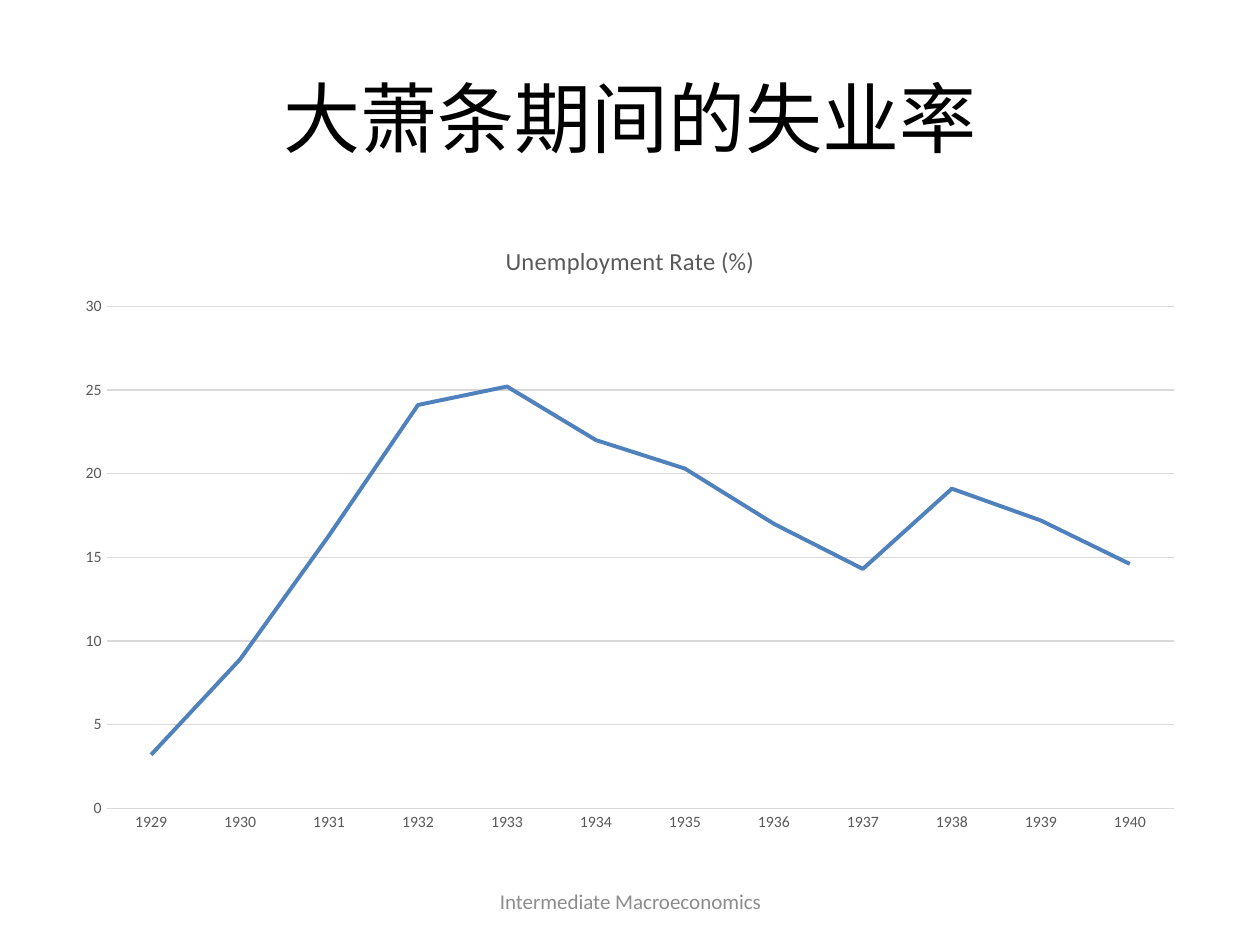
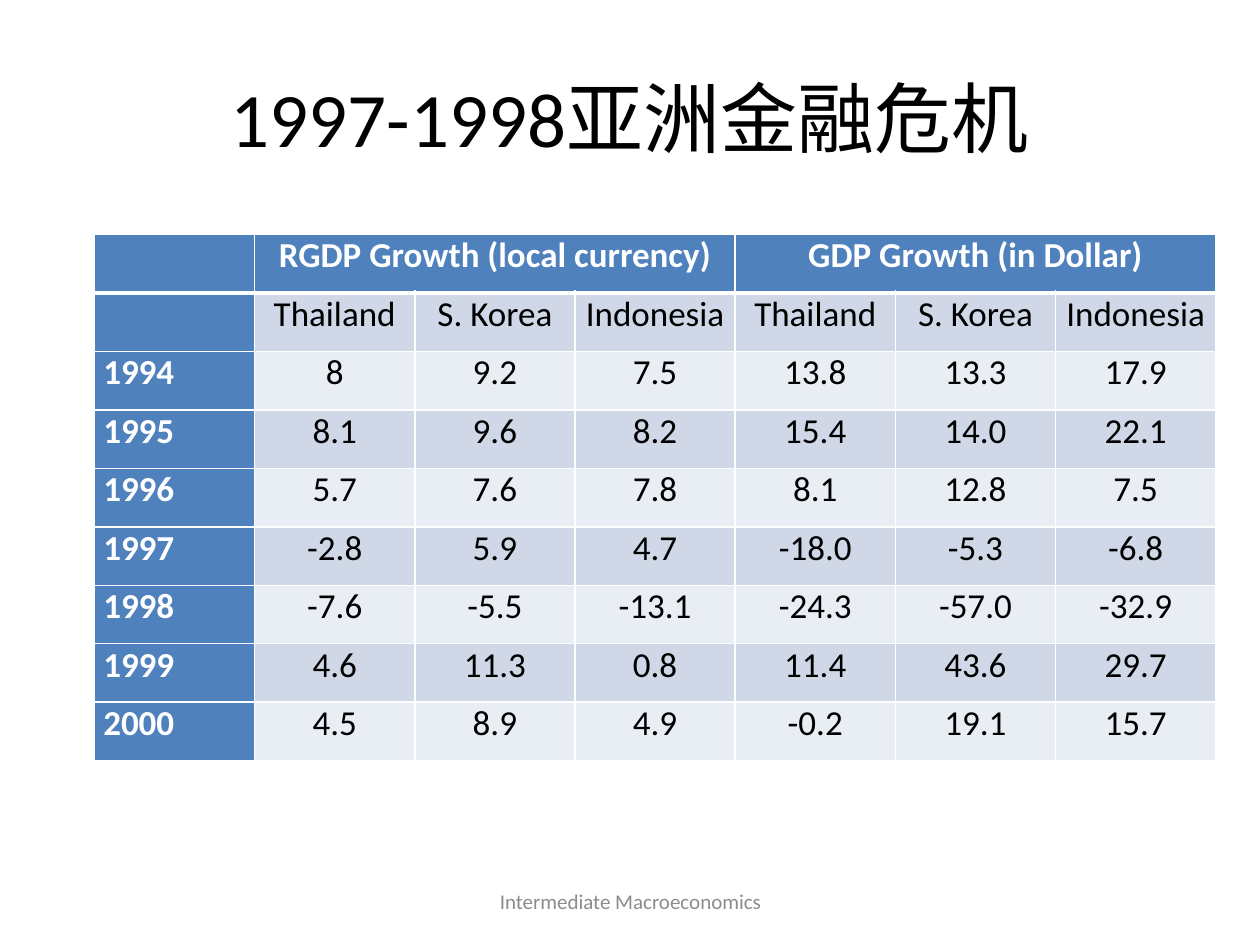
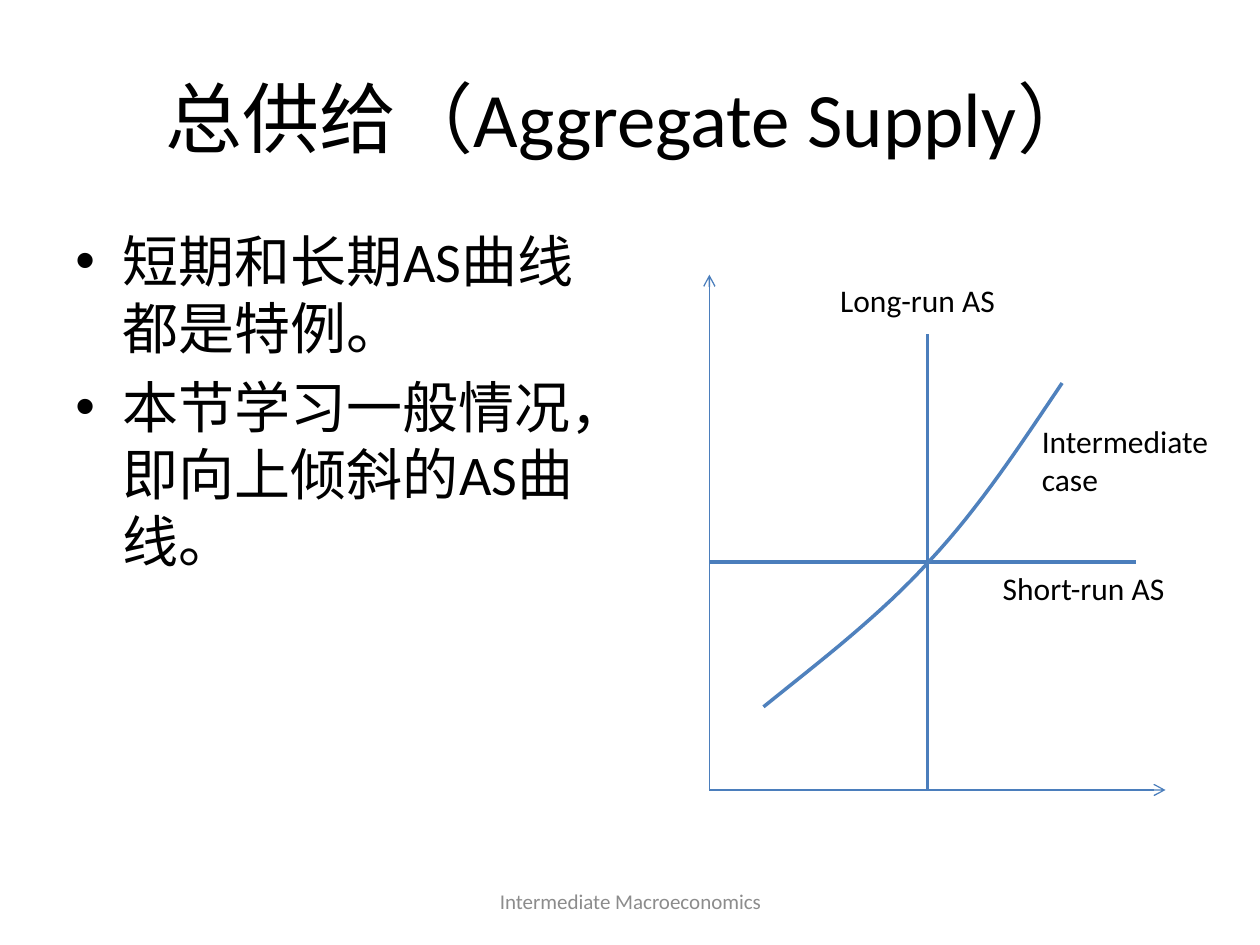
from dataclasses import dataclass
from typing import NamedTuple

from lxml import etree
from pptx import Presentation
from pptx.chart.data import CategoryChartData
from pptx.dml.color import RGBColor
from pptx.enum.chart import XL_CHART_TYPE, XL_MARKER_STYLE, XL_TICK_MARK
from pptx.enum.text import MSO_ANCHOR, PP_ALIGN
from pptx.oxml.ns import qn
from pptx.util import Inches, Pt

LINE_CHART = XL_CHART_TYPE.LINE
NO_MARK = XL_MARKER_STYLE.NONE
NO_TICK = XL_TICK_MARK.NONE
TOP, MIDDLE = MSO_ANCHOR.TOP, MSO_ANCHOR.MIDDLE
LEFT, CENTER, JUSTIFY = PP_ALIGN.LEFT, PP_ALIGN.CENTER, PP_ALIGN.JUSTIFY

WIDTH, HEIGHT = Inches(10), Inches(7.5)
COLS = 100
UNIT = WIDTH / COLS


@dataclass(frozen=True)
class Theme:
    face: str = "Calibri"
    ink: str = "000000"
    paper: str = "FFFFFF"
    blue: str = "4F81BD"
    stroke: str = "4B7EBC"
    dark: str = "D0D8E8"
    light: str = "E9EDF4"
    grid: str = "D9D9D9"
    label: str = "595959"
    mute: str = "8C8C8C"
    title: float = 44
    body: float = 32
    cell: float = 20
    note: float = 18
    foot: float = 12
    chart: float = 14
    tick: float = 9


THEME = Theme()


class Box(NamedTuple):
    col: float
    row: float
    wide: float
    high: float

    def size(self) -> list[int]:
        return [span(part) for part in self]


class Label(NamedTuple):
    text: str
    box: Box


class Stroke(NamedTuple):
    start: tuple[float, float]
    end: tuple[float, float]
    weight: float
    arrow: bool = False


class Curve(NamedTuple):
    points: tuple[tuple[float, float], ...]

    def at(self, t: float) -> tuple[int, int]:
        u = 1 - t
        parts = (u ** 3, 3 * u * u * t, 3 * u * t * t, t ** 3)
        return tuple(span(sum(p * point[i] for p, point in zip(parts, self.points))) for i in (0, 1))


TITLE_BOX = Box(5, 3, 90, 12.5)
FOOT_BOX = Box(34.2, 69.5, 31.7, 4)
CHART_BOX = Box(5, 17.5, 90, 49.5)
TABLE_BOX = Box(7.5, 18.6, 89, 41.8)
BODY_BOX = Box(5, 17.5, 44.2, 49.5)

RATES = (3.2, 8.9, 16.3, 24.1, 25.2, 22, 20.3, 17, 14.3, 19.1, 17.2, 14.6)
LANDS = ("Thailand", "S. Korea", "Indonesia")
GROWTH = (
    ("", "RGDP Growth (local currency)", "", "", "GDP Growth (in Dollar)", "", ""),
    ("", *LANDS, *LANDS),
    ("1994", "8", "9.2", "7.5", "13.8", "13.3", "17.9"),
    ("1995", "8.1", "9.6", "8.2", "15.4", "14.0", "22.1"),
    ("1996", "5.7", "7.6", "7.8", "8.1", "12.8", "7.5"),
    ("1997", "-2.8", "5.9", "4.7", "-18.0", "-5.3", "-6.8"),
    ("1998", "-7.6", "-5.5", "-13.1", "-24.3", "-57.0", "-32.9"),
    ("1999", "4.6", "11.3", "0.8", "11.4", "43.6", "29.7"),
    ("2000", "4.5", "8.9", "4.9", "-0.2", "19.1", "15.7"),
)
POINTS = ("短期和长期AS曲线都是特例。", "本节学习一般情况，即向上倾斜的AS曲线。")

BASE = (56.3, 62.7)
LONG_COL, SHORT_ROW = 73.6, 44.6
STROKES = (
    Stroke(BASE, (92.5, BASE[1]), 0.75, True),
    Stroke(BASE, (BASE[0], 21.8), 0.75, True),
    Stroke((LONG_COL, BASE[1]), (LONG_COL, 26.5), 2),
    Stroke((BASE[0], SHORT_ROW), (90.2, SHORT_ROW), 2),
)
CURVES = (
    Curve(((60.6, 56.1), (65.2, 52.4), (69.9, 48.8), (73.8, 44.5))),
    Curve(((73.8, 44.5), (77.8, 40.2), (81, 35.3), (84.3, 30.4))),
)
STEPS = 16
LABELS = (
    Label("Long-run AS", Box(65.7, 21.8, 18.6, 4)),
    Label("Short-run AS", Box(78.6, 44.7, 18.1, 4)),
    Label("Intermediate case", Box(81.7, 33, 16.9, 7.1)),
)


def span(units: float) -> int:
    return round(units * UNIT)


def tint(code: str) -> RGBColor:
    return RGBColor.from_string(code)


def style(font, size: float, color: str, bold: bool = False) -> None:
    font.name = THEME.face
    font.size = Pt(size)
    font.color.rgb = tint(color)
    font.bold = bold


def add_text(slide, box: Box, lines: tuple[str, ...], size: float, color: str = THEME.ink,
             align=LEFT, anchor=TOP, bullet: bool = False) -> None:
    frame = slide.shapes.add_textbox(*box.size()).text_frame
    frame.word_wrap = True
    frame.vertical_anchor = anchor
    for index, line in enumerate(lines):
        para = frame.add_paragraph() if index else frame.paragraphs[0]
        para.text = line
        para.alignment = align
        if index:
            para.space_before = Pt(size * 0.2)
        if bullet:
            props = para._p.get_or_add_pPr()
            props.set("marL", str(span(3.75)))
            props.set("indent", str(-span(3.75)))
            etree.SubElement(props, qn("a:buFont"), typeface="Arial")
            etree.SubElement(props, qn("a:buChar"), char="•")
        style(para.font, size, color)


def add_page(deck, title: str):
    slide = deck.slides.add_slide(deck.slide_layouts[6])
    add_text(slide, TITLE_BOX, (title,), THEME.title, align=CENTER, anchor=MIDDLE)
    add_text(slide, FOOT_BOX, ("Intermediate Macroeconomics",), THEME.foot, THEME.mute, CENTER, MIDDLE)
    return slide


def set_line(line, color: str, weight: float) -> None:
    line.color.rgb = tint(color)
    line.width = Pt(weight)


def draw_rates(slide) -> None:
    data = CategoryChartData()
    data.categories = [str(1929 + index) for index in range(len(RATES))]
    data.add_series("Series 1", RATES)
    chart = slide.shapes.add_chart(LINE_CHART, *CHART_BOX.size(), data).chart
    style(chart.font, THEME.tick, THEME.label)
    chart.has_legend = False
    chart.has_title = True
    chart.chart_title.include_in_layout = False
    para = chart.chart_title.text_frame.paragraphs[0]
    para.text = "Unemployment Rate (%)"
    style(para.font, THEME.chart, THEME.label)
    plot = chart.plots[0]
    plot.vary_by_categories = False
    series = plot.series[0]
    series.smooth = False
    series.marker.style = NO_MARK
    set_line(series.format.line, THEME.blue, 2.25)
    for axis in (chart.category_axis, chart.value_axis):
        axis.major_tick_mark = axis.minor_tick_mark = NO_TICK
        style(axis.tick_labels.font, THEME.tick, THEME.label)
    set_line(chart.category_axis.format.line, THEME.grid, 0.75)
    values = chart.value_axis
    values.minimum_scale, values.maximum_scale, values.major_unit = 0, 30, 5
    values.format.line.fill.background()
    set_line(values.major_gridlines.format.line, THEME.grid, 0.75)


def add_edges(cell, base: float) -> None:
    props = cell._tc.get_or_add_tcPr()
    edges = (("L", 1), ("R", 1), ("T", 1), ("B", base))
    for index, (side, weight) in enumerate(edges):
        edge = etree.Element(qn(f"a:ln{side}"), w=str(Pt(weight)))
        fill = etree.SubElement(edge, qn("a:solidFill"))
        etree.SubElement(fill, qn("a:srgbClr"), val=THEME.paper)
        props.insert(index, edge)


def draw_growth(slide) -> None:
    rows, cols = len(GROWTH), len(GROWTH[0])
    table = slide.shapes.add_table(rows, cols, *TABLE_BOX.size()).table
    table.first_row = table.horz_banding = False
    for col in table.columns:
        col.width = span(TABLE_BOX.wide / cols)
    for row in table.rows:
        row.height = span(TABLE_BOX.high / rows)
    for r, line in enumerate(GROWTH):
        for c, text in enumerate(line):
            cell = table.cell(r, c)
            head = r == 0 or c == 0
            cell.margin_left = cell.margin_right = span(0.7)
            cell.margin_top = cell.margin_bottom = 0
            cell.fill.solid()
            cell.fill.fore_color.rgb = tint(THEME.blue if head else THEME.dark if r % 2 else THEME.light)
            add_edges(cell, 1 if r else 3)
            para = cell.text_frame.paragraphs[0]
            para.text = text
            para.alignment = CENTER if c else JUSTIFY
            style(para.font, THEME.cell, THEME.paper if head else THEME.ink, head)
    for c in (1, 4):
        table.cell(0, c).merge(table.cell(0, c + 2))


def draw_stroke(slide, stroke: Stroke) -> None:
    ends = [span(part) for part in stroke.start + stroke.end]
    link = slide.shapes.add_connector(1, *ends)
    set_line(link.line, THEME.stroke, stroke.weight)
    props = link.element.spPr
    if stroke.arrow:
        etree.SubElement(props.find(qn("a:ln")), qn("a:tailEnd"), type="arrow")
    etree.SubElement(props, qn("a:effectLst"))


def draw_supply(slide) -> None:
    add_text(slide, BODY_BOX, POINTS, THEME.body, bullet=True)
    for stroke in STROKES:
        draw_stroke(slide, stroke)
    trail = [curve.at(step / STEPS) for curve in CURVES for step in range(1, STEPS + 1)]
    path = slide.shapes.build_freeform(*CURVES[0].at(0))
    path.add_line_segments(trail, close=False)
    shape = path.convert_to_shape()
    shape.shadow.inherit = False
    shape.fill.background()
    set_line(shape.line, THEME.blue, 2)
    for label in LABELS:
        add_text(slide, label.box, (label.text,), THEME.note)


def main() -> None:
    deck = Presentation()
    deck.slide_width, deck.slide_height = WIDTH, HEIGHT
    draw_rates(add_page(deck, "大萧条期间的失业率"))
    draw_growth(add_page(deck, "1997-1998亚洲金融危机"))
    draw_supply(add_page(deck, "总供给（Aggregate Supply）"))
    deck.save("out.pptx")


if __name__ == "__main__":
    main()
